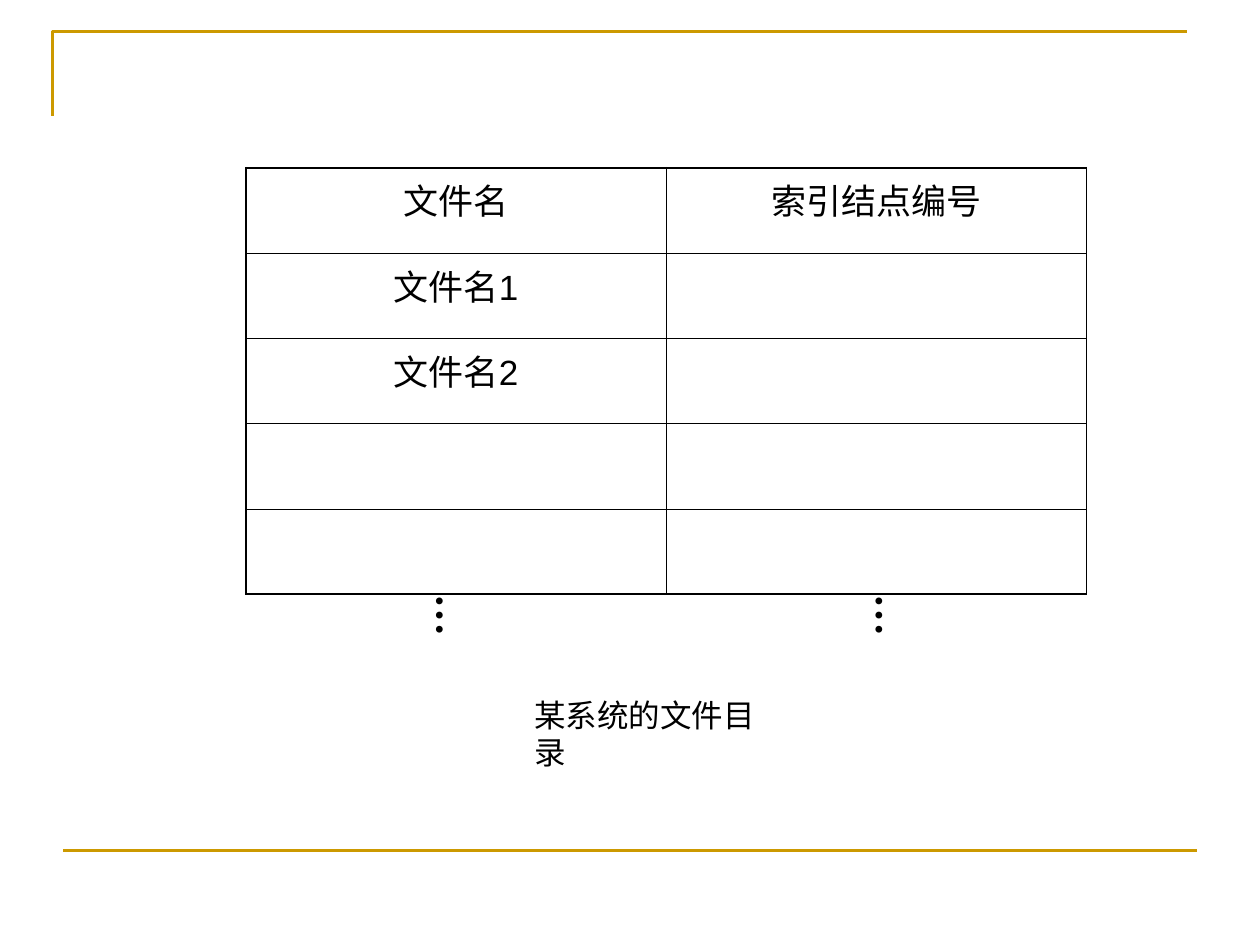
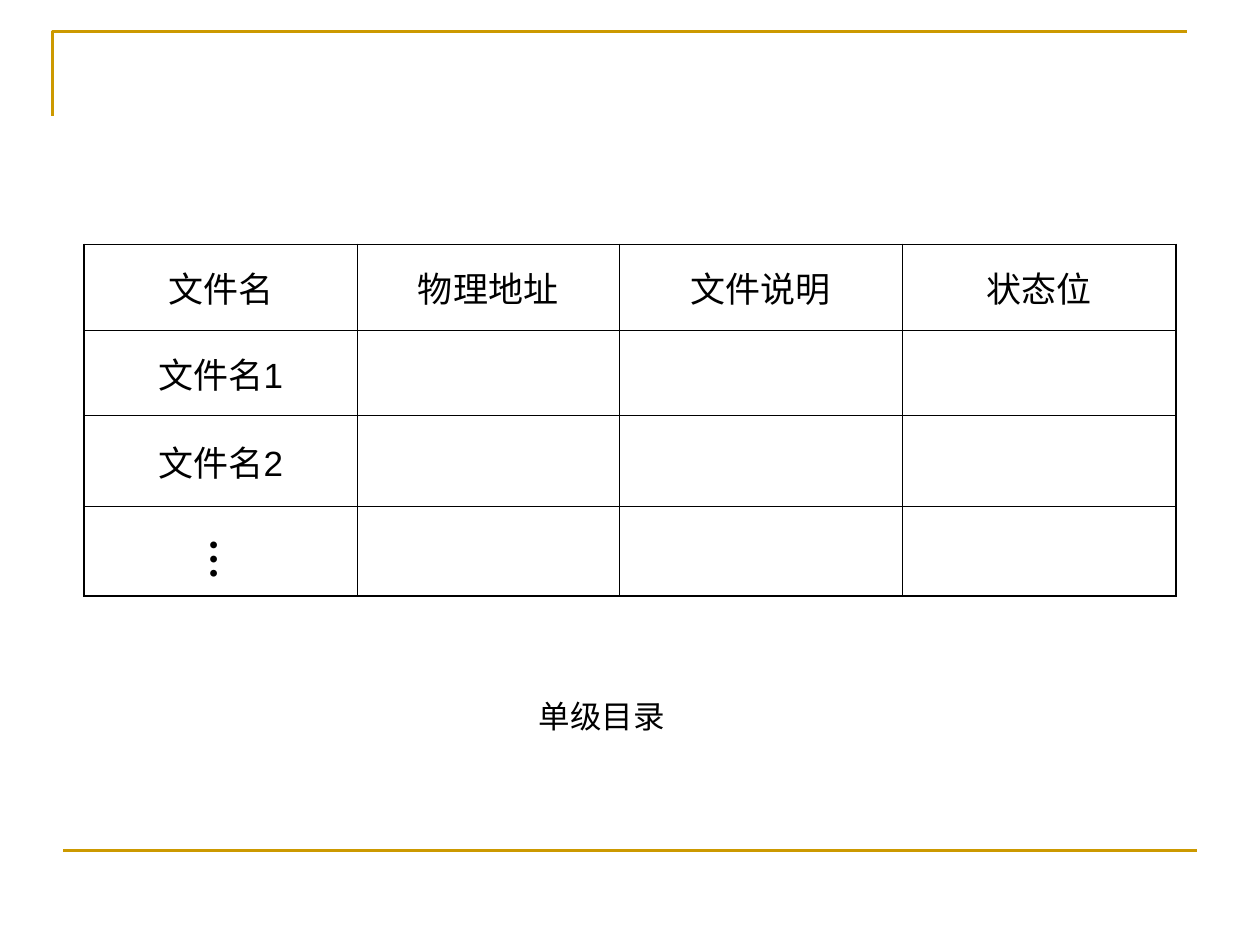
import pptx
import pptx.dml.color
import pptx.enum.shapes
import pptx.enum.text
import pptx.oxml
import pptx.oxml.ns
import pptx.util

BLACK = "000000"
GOLD = "CC9900"
OUTER_WIDTH, INNER_WIDTH = 1.08, 0.45
NAMESPACE = pptx.oxml.ns.nsdecls("a")
CENTER = pptx.enum.text.PP_ALIGN.CENTER
TOP = pptx.enum.text.MSO_ANCHOR.TOP
MIDDLE = pptx.enum.text.MSO_ANCHOR.MIDDLE
Cm = pptx.util.Cm


def color(code):
    return pptx.dml.color.RGBColor.from_string(code)


def write_text(frame, text, size, font, bold=False, align=None):
    """Put one formatted paragraph into a text frame."""
    para = frame.paragraphs[0]
    para.alignment = align
    span = para.add_run()
    span.text = text
    span.font.size = pptx.util.Pt(size)
    span.font.name = font
    span.font.bold = bold
    span.font.color.rgb = color(BLACK)


directories = [
    {
        "caption": ("某系统的文件目录", 10.52, 13.9, 5.51),
        "corner": (4.96, 3.38),
        "columns": [8.47] * 2,
        "rows": [1.72] * 5,
        "anchor": TOP,
        "headings": ["文件名", "索引结点编号"],
        "ellipses": [(8.26, 11.74), (17.12, 11.74)],
    },
    {
        "caption": ("单级目录", 10.61, 13.92, 3.18),
        "corner": (1.7, 4.93),
        "columns": [5.5, 5.28, 5.72, 5.5],
        "rows": [1.72, 1.73, 1.83, 1.81],
        "anchor": MIDDLE,
        "headings": ["文件名", "物理地址", "文件说明", "状态位"],
        "ellipses": [(3.71, 10.6)],
    },
]

deck = pptx.Presentation()
deck.slide_width, deck.slide_height = Cm(25.4), Cm(19.05)
layout = deck.slide_layouts[6]
pages = [deck.slides.add_slide(layout) for directory in directories]

# The gold frame is drawn once and moved to the layout that both slides use.
builder = pages[0].shapes.build_freeform(Cm(1.06), Cm(2.33))
builder.add_line_segments([(Cm(1.06), Cm(0.63)), (Cm(23.92), Cm(0.63))], close=False)
corner_line = builder.convert_to_shape()
corner_line.fill.background()
corner_line.shadow.inherit = False
bottom_line = pages[0].shapes.add_connector(
    pptx.enum.shapes.MSO_CONNECTOR.STRAIGHT, Cm(1.27), Cm(17.15), Cm(24.13), Cm(17.15))
for line_shape in (corner_line, bottom_line):
    line_shape.line.color.rgb = color(GOLD)
    line_shape.line.width = pptx.util.Pt(1.5)
    layout.element.cSld.spTree.append(line_shape.element)
bottom_line.element.spPr.append(pptx.oxml.parse_xml(f"<a:effectLst {NAMESPACE}/>"))

for page, directory in zip(pages, directories):
    columns, rows = directory["columns"], directory["rows"]
    left, top = directory["corner"]
    table = page.shapes.add_table(
        len(rows), len(columns), Cm(left), Cm(top), Cm(sum(columns)), Cm(sum(rows))).table
    table.first_row = table.horz_banding = False
    for column, width in zip(table.columns, columns):
        column.width = Cm(width)
    for row, height in zip(table.rows, rows):
        row.height = Cm(height)

    labels = {(0, index): heading for index, heading in enumerate(directory["headings"])}
    labels.update({(number, 0): f"文件名{number}" for number in (1, 2)})
    for row_index in range(len(rows)):
        for column_index in range(len(columns)):
            cell = table.cell(row_index, column_index)
            cell.vertical_anchor = directory["anchor"]
            outer_sides = {
                "lnL": column_index == 0,
                "lnR": column_index == len(columns) - 1,
                "lnT": row_index == 0,
                "lnB": row_index == len(rows) - 1,
            }
            properties = cell._tc.get_or_add_tcPr()
            for side, is_outer in outer_sides.items():
                width = pptx.util.Pt(OUTER_WIDTH if is_outer else INNER_WIDTH)
                properties.append(pptx.oxml.parse_xml(
                    f'<a:{side} {NAMESPACE} w="{width}"><a:solidFill>'
                    f'<a:srgbClr val="{BLACK}"/></a:solidFill></a:{side}>'))
            cell.fill.background()
            if (row_index, column_index) in labels:
                write_text(cell.text_frame, labels[row_index, column_index],
                           size=20, font="Arial", align=CENTER)

    for left, top in directory["ellipses"]:
        box = page.shapes.add_textbox(Cm(left), Cm(top), Cm(1.52), Cm(1.12))
        frame = box.text_frame
        frame.word_wrap = False
        frame.auto_size = pptx.enum.text.MSO_AUTO_SIZE.SHAPE_TO_FIT_TEXT
        frame.margin_left = frame.margin_right = Cm(0.13)
        frame.margin_top = frame.margin_bottom = Cm(0.25)
        box.element.txBody.bodyPr.set("vert", "eaVert")
        write_text(frame, "…", size=24, font="Times New Roman", bold=True)

    caption, left, top, width = directory["caption"]
    box = page.shapes.add_textbox(Cm(left), Cm(top), Cm(width), Cm(1.02))
    box.text_frame.word_wrap = False
    box.text_frame.auto_size = pptx.enum.text.MSO_AUTO_SIZE.SHAPE_TO_FIT_TEXT
    write_text(box.text_frame, caption, size=18, font="Noto Sans CJK SC")

deck.save("out.pptx")
